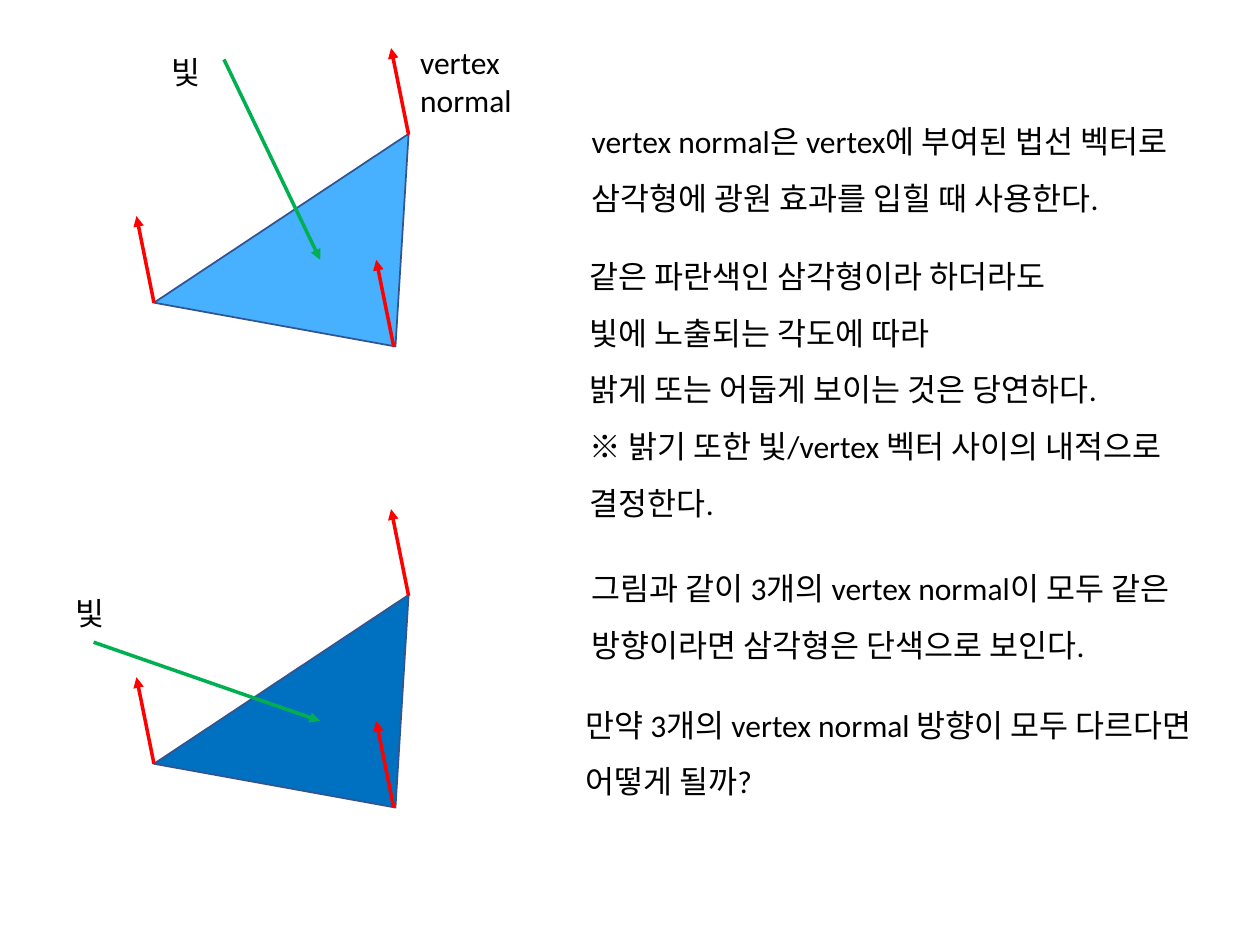
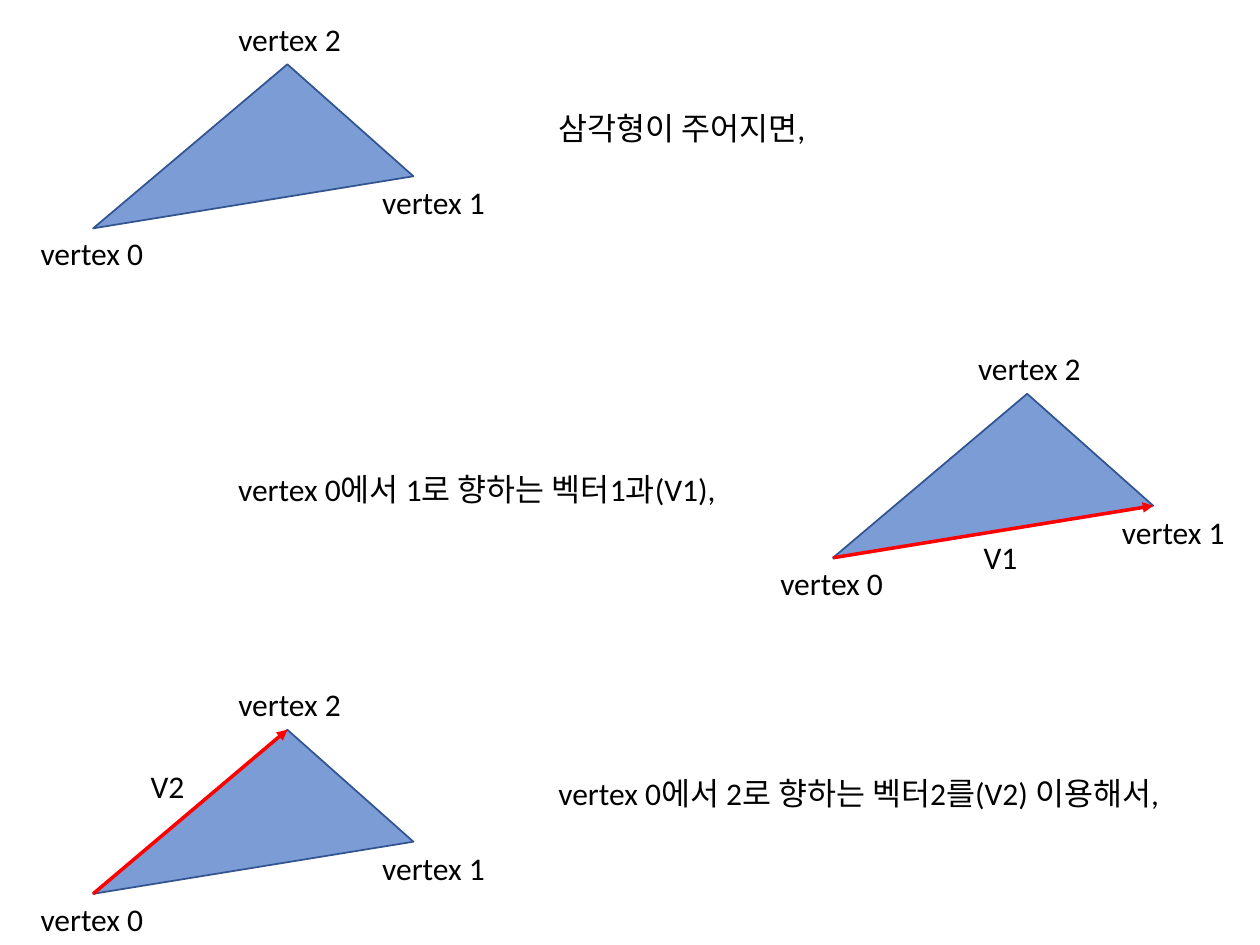
from lxml import etree
from pptx import Presentation
from pptx.dml.color import RGBColor
from pptx.enum import shapes, text
from pptx.oxml import ns
from pptx.util import Pt

HUE = {"edge": "325491", "lit": "47B0FF", "dim": "0070C0", "face": "4472C4",
       "ray": "00B050", "vec": "FF0000", "ink": "000000"}
FONT = {"name": "Calibri", "size": Pt(18)}
RED = {"hue": "vec"}

deck = Presentation()
deck.slide_width, deck.slide_height = Pt(720), Pt(540)
light, steps = [deck.slides.add_slide(deck.slide_layouts[6]) for _ in range(2)]


def rgb(hue):
    return RGBColor.from_string(HUE[hue])


def write(slide, box, lines, gap=None, mid=False):
    """Place lines of text at box; mid centres them without wrapping."""
    shape = slide.shapes.add_textbox(*map(Pt, box))
    frame = shape.text_frame
    frame.word_wrap = not mid
    frame.auto_size = text.MSO_AUTO_SIZE.SHAPE_TO_FIT_TEXT
    frame.text = lines
    for para in frame.paragraphs:
        para.alignment = text.PP_ALIGN.CENTER if mid else text.PP_ALIGN.LEFT
        para.line_spacing = gap
        for run in para.runs:
            for key, val in FONT.items():
                setattr(run.font, key, val)
            run.font.color.rgb = rgb("ink")


faces = []  # slide, corners, fill, opacity
arrows = []  # slide, start, end, colour

# Slide 1: one triangle, lit from two angles
for x, y, fill, ray in [(88, 76.5, "lit", (128, 34)), (88, 340, "dim", (53.5, 367))]:
    faces.append((light, [(x + 145.5, y), (x, y + 96.5), (x + 138, y + 121.5)], fill, None))
    for dx, dy in [(0, 96.5), (137, 121.5), (145.5, 0.5)]:
        arrows.append((light, (x + dx, y + dy), (x + dx - 10, y + dy - 49.5), "vec"))
    arrows.append((light, ray, (183, 148.5 if fill == "lit" else 412), "ray"))

# Slide 2: the same triangle, then each edge vector
spots = [(0, 93.75), (183, 64), (111, 0)]
shifts = [(-37.5, 93.5), (157.75, 64.5), (75.5, -29)]
for x, y, goal in [(53.25, 36.75, None), (476, 225, 1), (53.25, 417, 2)]:
    pts = [(x + dx, y + dy) for dx, dy in spots]
    faces.append((steps, pts, "face", 70000))
    if goal:
        arrows.append((steps, pts[0], pts[goal], "vec"))
    for num, (dx, dy) in enumerate(shifts):
        write(steps, (x + dx, y + dy, 73.5, 29), f"vertex {num}", mid=True)

for slide, pts, fill, alpha in faces:
    pts = [(Pt(x), Pt(y)) for x, y in pts]
    pen = slide.shapes.build_freeform(*pts[0], scale=1.0)
    pen.add_line_segments(pts[1:], close=True)
    face = pen.convert_to_shape()
    face.shadow.inherit = False
    face.fill.solid()
    face.fill.fore_color.rgb = rgb(fill)
    face.line.color.rgb = rgb("edge")
    face.line.width = Pt(1)
    if alpha:
        clr = face._element.spPr.find(ns.qn("a:solidFill"))[0]
        etree.SubElement(clr, ns.qn("a:alpha"), val=str(alpha))

for slide, start, end, hue in arrows:
    arrow = slide.shapes.add_connector(shapes.MSO_CONNECTOR.STRAIGHT, *map(Pt, start + end))
    arrow.line.color.rgb = rgb(hue)
    arrow.line.width = Pt(2)
    etree.SubElement(arrow.line._get_or_add_ln(), ns.qn("a:tailEnd"), type="triangle")
    etree.SubElement(arrow._element.spPr, ns.qn("a:effectLst"))

for box, lines in [
    ((331, 55.5, 375, 69), "vertex normal은 vertex에 부여된 법선 벡터로\n삼각형에 광원 효과를 입힐 때 사용한다."),
    ((330, 132.5, 376.5, 170.5), "같은 파란색인 삼각형이라 하더라도\n빛에 노출되는 각도에 따라\n"
     "밝게 또는 어둡게 보이는 것은 당연하다.\n※ 밝기 또한 빛/vertex 벡터 사이의 내적으로\n결정한다."),
    ((331, 311, 358.5, 69), "그림과 같이 3개의 vertex normal이 모두 같은 방향이라면 삼각형은 단색으로 보인다."),
    ((327.5, 389, 381.5, 72.5), "만약 3개의 vertex normal 방향이 모두 다르다면 어떻게 될까?"),
]:
    write(light, box, lines, gap=1.5)

for slide, box, line in [
    (light, (233, 21, 68, 51), "vertex normal"),
    (light, (91, 27, 34.5, 29), "빛"),
    (light, (36, 336, 34.5, 29), "빛"),
    (steps, (312, 59, 171.5, 29), "삼각형이 주어지면,"),
    (steps, (129, 265, 306, 29), "vertex 0에서 1로 향하는 벡터1과(V1),"),
    (steps, (312, 438.5, 400, 29), "vertex 0에서 2로 향하는 벡터2를(V2) 이용해서,"),
    (steps, (555, 304, 36, 29), "V1"),
    (steps, (79, 435, 36, 29), "V2"),
]:
    write(slide, box, line)

deck.save("out.pptx")
